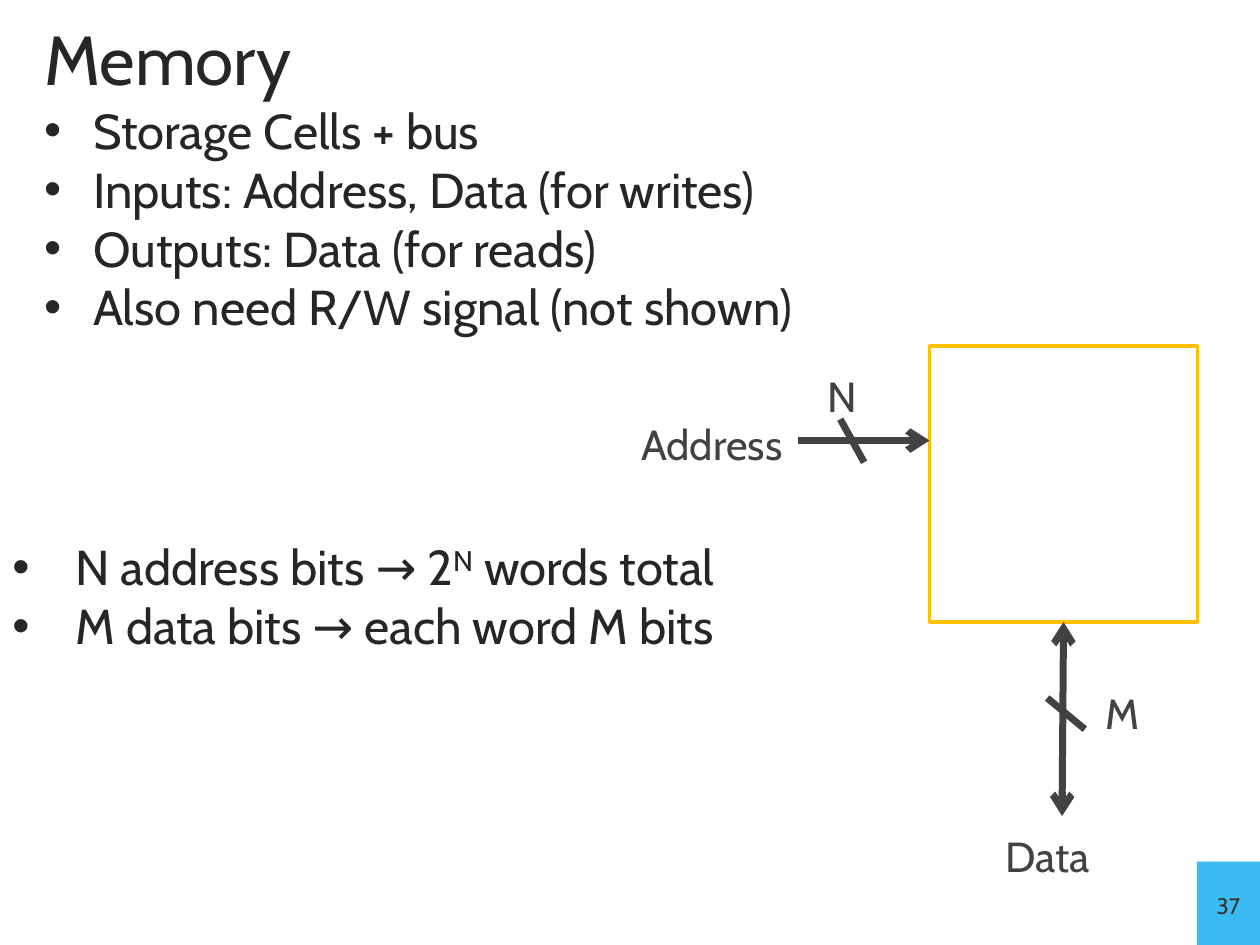
from lxml import etree
from pptx import Presentation
from pptx.dml.color import RGBColor
from pptx.enum import shapes, text
from pptx.oxml import ns
from pptx.util import Cm, Pt

HUES = {"ink": "262626", "gray": "424242", "gold": "FFC000", "sky": "3ABCF2", "page": "323232"}
FONT = "Cabin"


def color(name):
    return RGBColor.from_string(HUES[name])


def write(slide, box, lines, size=24, hue="gray", align="l", anchor="t", wrap=True,
          space=None, caps=False):
    frame = slide.shapes.add_textbox(*map(Cm, box)).text_frame
    frame.word_wrap = wrap
    frame.vertical_anchor = {"t": text.MSO_ANCHOR.TOP, "m": text.MSO_ANCHOR.MIDDLE}[anchor]
    for i, line in enumerate(lines):
        para = frame.add_paragraph() if i else frame.paragraphs[0]
        para.alignment = {"l": text.PP_ALIGN.LEFT, "c": text.PP_ALIGN.CENTER}[align]
        if space:
            para.line_spacing = space
        for j, part in enumerate(line.split("^")):
            run = para.add_run()
            run.text = part
            run.font.name = FONT
            run.font.size = Pt(size)
            run.font.color.rgb = color(hue)
            props = run._r.get_or_add_rPr()
            if j % 2:
                props.set("baseline", "30000")
            if caps:
                props.set("cap", "small")
    return frame


def bullet(para, left, hang):
    props = para._p.get_or_add_pPr()
    props.set("marL", str(Cm(left)))
    props.set("indent", str(-Cm(hang)))
    font = etree.SubElement(props, ns.qn("a:buFont"))
    font.set("typeface", "Arial")
    etree.SubElement(props, ns.qn("a:buChar")).set("char", "•")


def block(slide, box, fill=None, line=None):
    shape = slide.shapes.add_shape(shapes.MSO_SHAPE.RECTANGLE, *map(Cm, box))
    shape.shadow.inherit = False
    if fill:
        shape.fill.solid()
        shape.fill.fore_color.rgb = color(fill)
    else:
        shape.fill.background()
    if line:
        shape.line.color.rgb = color(line)
        shape.line.width = Pt(2)
    else:
        shape.line.fill.background()
    return shape


def wire(slide, start, end, heads=()):
    line = slide.shapes.add_connector(shapes.MSO_CONNECTOR.STRAIGHT, *map(Cm, start + end))
    line.line.color.rgb = color("gray")
    line.line.width = Pt(4)
    props = line.line._get_or_add_ln()
    for head in heads:
        etree.SubElement(props, ns.qn("a:" + head)).set("type", "arrow")
    etree.SubElement(line._element.spPr, ns.qn("a:effectLst"))
    return line


def title(slide, box):
    write(slide, box, ["Memory"], size=39.6, hue="ink", anchor="m")


def body(slide, box):
    ports = ["Storage Cells + bus", "Inputs: Address, Data (for writes)",
             "Outputs: Data (for reads)", "Also need R/W signal (not shown)"]
    sizes = ["N address bits → 2^N^ words total", "M data bits → each word M bits"]
    paras = write(slide, box, ports + sizes, size=28, hue="ink").paragraphs
    first = len(ports)
    paras[first].space_before = Pt(115)
    for i, para in enumerate(paras):
        bullet(para, *((1.63, 0.99) if i < first else (1.27, 1.27)))


def diagram(slide, box):
    x, y = box[:2]

    def at(dx, dy):
        return x + dx, y + dy

    cells = block(slide, at(6.22, 0) + (5.4, 5.56), line="gold")
    wire(slide, at(3.56, 1.9), at(6.22, 1.9), ["tailEnd"])
    wire(slide, at(4.42, 1.47), at(4.9, 2.34))
    wire(slide, at(8.59, 7.09), at(9.35, 7.72))
    bus = wire(slide, at(8.92, 5.56), at(8.89, 9.47), ["headEnd", "tailEnd"])
    bus.begin_connect(cells, 2)
    labels = [("M", 9.5, 6.6, 1.22), ("N", 3.89, 0.2, 1.14),
              ("Address", 0, 1.17, 3.66), ("Data", 7.44, 9.47, 2.31)]
    for name, dx, dy, width in labels:
        write(slide, at(dx, dy) + (width, 1.35), [name], align="c", wrap=False, space=1.16)


def number(slide, box):
    block(slide, box, fill="sky")
    write(slide, box, ["37"], size=16, hue="page", align="c", anchor="m",
          wrap=False, caps=True)


def main():
    deck = Presentation()
    deck.slide_width, deck.slide_height = Cm(25.4), Cm(19.05)
    slide = deck.slides.add_slide(deck.slide_layouts[6])
    number(slide, (24.13, 17.37, 1.27, 1.68))
    title(slide, (0.64, 0.43, 24.13, 1.47))
    body(slide, (0, 1.9, 24.77, 15.67))
    diagram(slide, (12.52, 6.98, 11.62, 10.82))
    deck.save("out.pptx")


if __name__ == "__main__":
    main()
